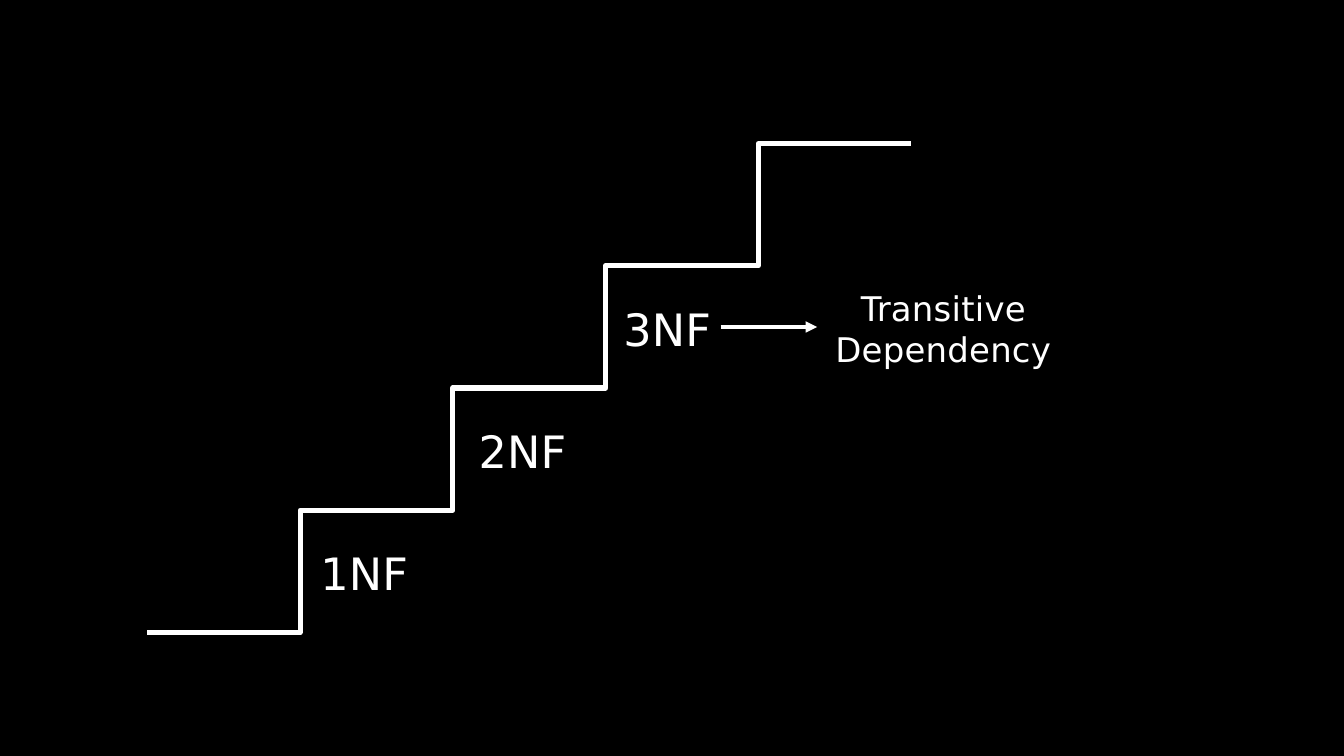
from lxml import etree
from pptx import Presentation
from pptx.dml.color import RGBColor
from pptx.enum.shapes import MSO_CONNECTOR
from pptx.enum.text import MSO_ANCHOR, PP_ALIGN
from pptx.oxml.ns import qn
from pptx.util import Pt

PX = 9144  # 100 px to the inch
ELBOW, STRAIGHT = MSO_CONNECTOR.ELBOW, MSO_CONNECTOR.STRAIGHT
LEFT, CENTER = PP_ALIGN.LEFT, PP_ALIGN.CENTER
TOP = MSO_ANCHOR.TOP
COLORS = {"background": "000000", "foreground": "FFFFFF"}
FONT = "DejaVu Sans"


def px(*lengths):
    return [length * PX for length in lengths]


def add_line(slide, kind, start, end, width, arrow=False):
    connector = slide.shapes.add_connector(kind, *px(*start, *end))
    connector.line.color.rgb = RGBColor.from_string(COLORS["foreground"])
    connector.line.width = Pt(width)
    properties = connector.line._get_or_add_ln()
    if arrow:
        etree.SubElement(properties, qn("a:tailEnd"), type="triangle")
    etree.SubElement(properties.getparent(), qn("a:effectLst"))


def add_text(slide, box, lines, size, align=LEFT):
    frame = slide.shapes.add_textbox(*px(*box)).text_frame
    frame.word_wrap = True
    frame.vertical_anchor = TOP
    frame.margin_left = frame.margin_right = frame.margin_bottom = 0
    frame.margin_top = 4 * PX
    for index, line in enumerate(lines):
        paragraph = frame.add_paragraph() if index else frame.paragraphs[0]
        paragraph.alignment = align
        if index:
            paragraph.space_before = Pt(1.2)
        run = paragraph.add_run()
        run.text = line
        run.font.size = Pt(size)
        run.font.name = FONT
        run.font.color.rgb = RGBColor.from_string(COLORS["foreground"])
        run.font._element.set("spc", "30")


def add_staircase(slide, box, steps):
    """Draw elbow steps climbing from the lower left to the upper right."""
    left, top, width, height = box
    tread, riser = width // (steps + 1), height // steps
    for step in range(steps):
        x, y = left + step * tread, top + height - step * riser
        add_line(slide, ELBOW, (x, y), (x + 2 * tread, y - riser), 6)


def add_step_labels(slide, box, labels):
    """Place each label under its step; box is that of the staircase."""
    left, top, width, height = box
    riser = height // (len(labels) + 1)
    for index, (label, offset) in enumerate(labels):
        y = top + height - 145 - index * riser
        add_text(slide, (left + offset, y, 158, 91), [label], 52.5)


def add_callout(slide, box, lines):
    """Draw an arrow leading to a centred note."""
    left, top, width, height = box
    arrow_y = top + height // 2
    add_line(slide, STRAIGHT, (left, arrow_y), (left + 158, arrow_y), 4.5, arrow=True)
    add_text(slide, (left + 183, top, width - 183, height), lines, 40, CENTER)


def main():
    presentation = Presentation()
    presentation.slide_width, presentation.slide_height = px(2199, 1237)
    slide = presentation.slides.add_slide(presentation.slide_layouts[6])
    fill = slide.background.fill
    fill.solid()
    fill.fore_color.rgb = RGBColor.from_string(COLORS["background"])

    staircase = (241, 235, 1250, 800)
    add_staircase(slide, staircase, 4)
    add_step_labels(slide, staircase, [("1NF", 283), ("2NF", 542), ("3NF", 779)])
    add_callout(slide, (1179, 466, 546, 138), ["Transitive", "Dependency"])
    presentation.save("out.pptx")


if __name__ == "__main__":
    main()
